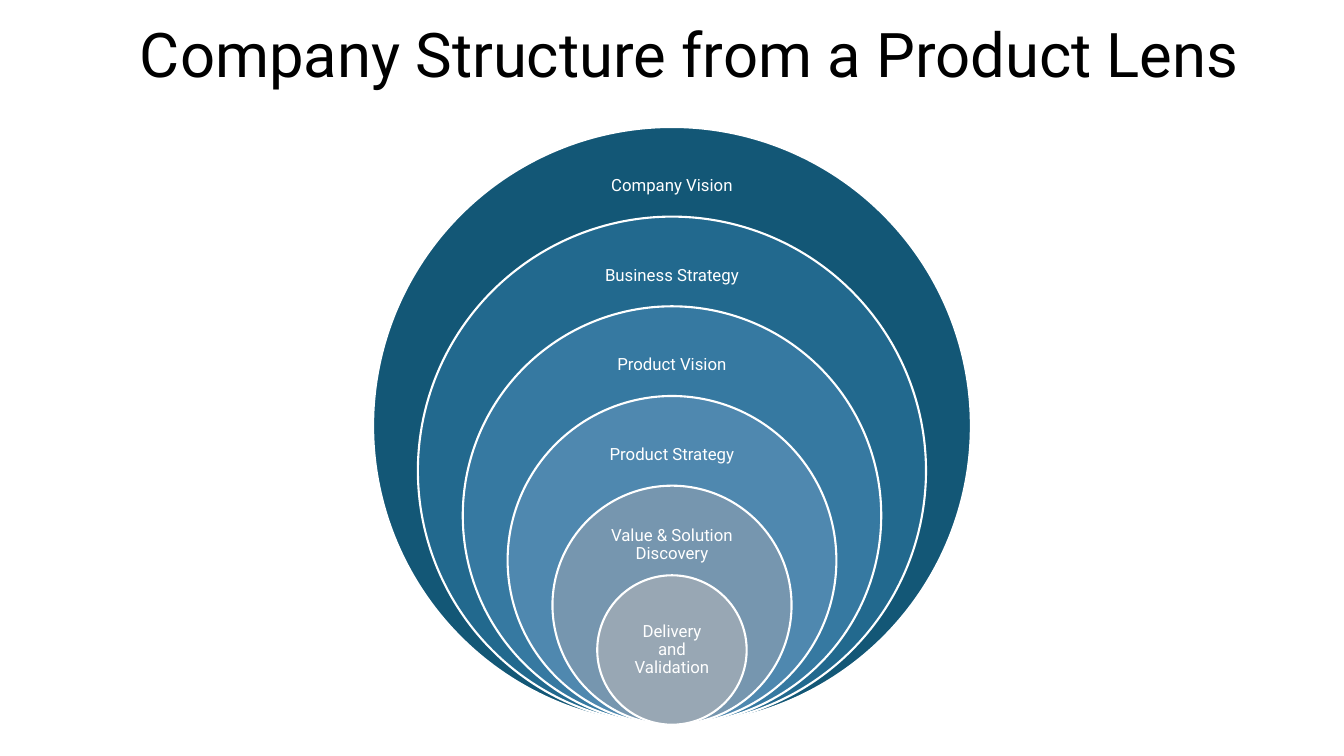
from dataclasses import dataclass

from pptx import Presentation
from pptx.dml.color import RGBColor
from pptx.enum.shapes import MSO_SHAPE
from pptx.enum.text import MSO_ANCHOR, PP_ALIGN
from pptx.util import Pt

OVAL = MSO_SHAPE.OVAL
MIDDLE = MSO_ANCHOR.MIDDLE
LEFT, CENTER = PP_ALIGN.LEFT, PP_ALIGN.CENTER


@dataclass(frozen=True)
class Theme:
    font: str = "Roboto"
    title_size: float = 44
    label_size: float = 12
    outline_width: float = 1.5
    line_spacing: float = 0.9
    title_color: str = "000000"
    label_color: str = "FFFFFF"
    outline_color: str = "FFFFFF"


@dataclass(frozen=True)
class Box:
    left: float
    top: float
    width: float
    height: float

    def lengths(self):
        return [Pt(n) for n in (self.left, self.top, self.width, self.height)]


THEME = Theme()
TITLE_BOX = Box(92.9, 12.2, 827.3, 58.3)
DIAGRAM_BOX = Box(266.5, 90.7, 427, 427)
INNERMOST_SHARE = 0.25
LABEL_HEIGHT = 42
LABEL_DROP = 21.3  # from the top of a ring to the top of its label

# Label, fill and label width, from the outermost ring inwards
RINGS = [
    ("Company Vision", "135776", 160),
    ("Business Strategy", "22698E", 156),
    ("Product Vision", "3679A1", 155),
    ("Product Strategy", "4F88AF", 127),
    ("Value & Solution Discovery", "7696AF", 111),
    ("Delivery and Validation", "98A7B4", 75.6),
]


def add_text(page, box, text, size, color, align, inset):
    frame = page.shapes.add_textbox(*box.lengths()).text_frame
    frame.word_wrap = True
    frame.vertical_anchor = MIDDLE
    frame.margin_left = frame.margin_right = Pt(inset)
    frame.margin_top = frame.margin_bottom = Pt(min(inset, 6.5))
    frame.text = text
    para = frame.paragraphs[0]
    para.alignment = align
    para.line_spacing = THEME.line_spacing
    font = para.runs[0].font
    font.name = THEME.font
    font.size = Pt(size)
    font.color.rgb = RGBColor.from_string(color)


def add_title(page, box):
    add_text(page, box, "Company Structure from a Product Lens",
             THEME.title_size, THEME.title_color, LEFT, 7.2)


def add_ring(page, box, fill):
    ring = page.shapes.add_shape(OVAL, *box.lengths())
    ring.shadow.inherit = False
    ring.fill.solid()
    ring.fill.fore_color.rgb = RGBColor.from_string(fill)
    ring.line.color.rgb = RGBColor.from_string(THEME.outline_color)
    ring.line.width = Pt(THEME.outline_width)


def add_nested_rings(page, box):
    """Draw evenly shrinking circles that all touch the bottom of the box."""
    center = box.left + box.width / 2
    bottom = box.top + box.height
    last = len(RINGS) - 1
    step = box.width * (1 - INNERMOST_SHARE) / last
    for index, (label, fill, label_width) in enumerate(RINGS):
        diameter = box.width - index * step
        top = bottom - diameter
        add_ring(page, Box(center - diameter / 2, top, diameter, diameter), fill)
        if index == last:
            label_top, label_height = top + diameter / 4, diameter / 2
        else:
            label_top, label_height = top + LABEL_DROP, LABEL_HEIGHT
        label_box = Box(center - label_width / 2, label_top, label_width, label_height)
        add_text(page, label_box, label, THEME.label_size, THEME.label_color, CENTER, 6.5)


def main():
    deck = Presentation()
    deck.slide_width, deck.slide_height = Pt(960), Pt(540)
    page = deck.slides.add_slide(deck.slide_layouts[6])
    add_nested_rings(page, DIAGRAM_BOX)
    add_title(page, TITLE_BOX)
    deck.save("out.pptx")


if __name__ == "__main__":
    main()
